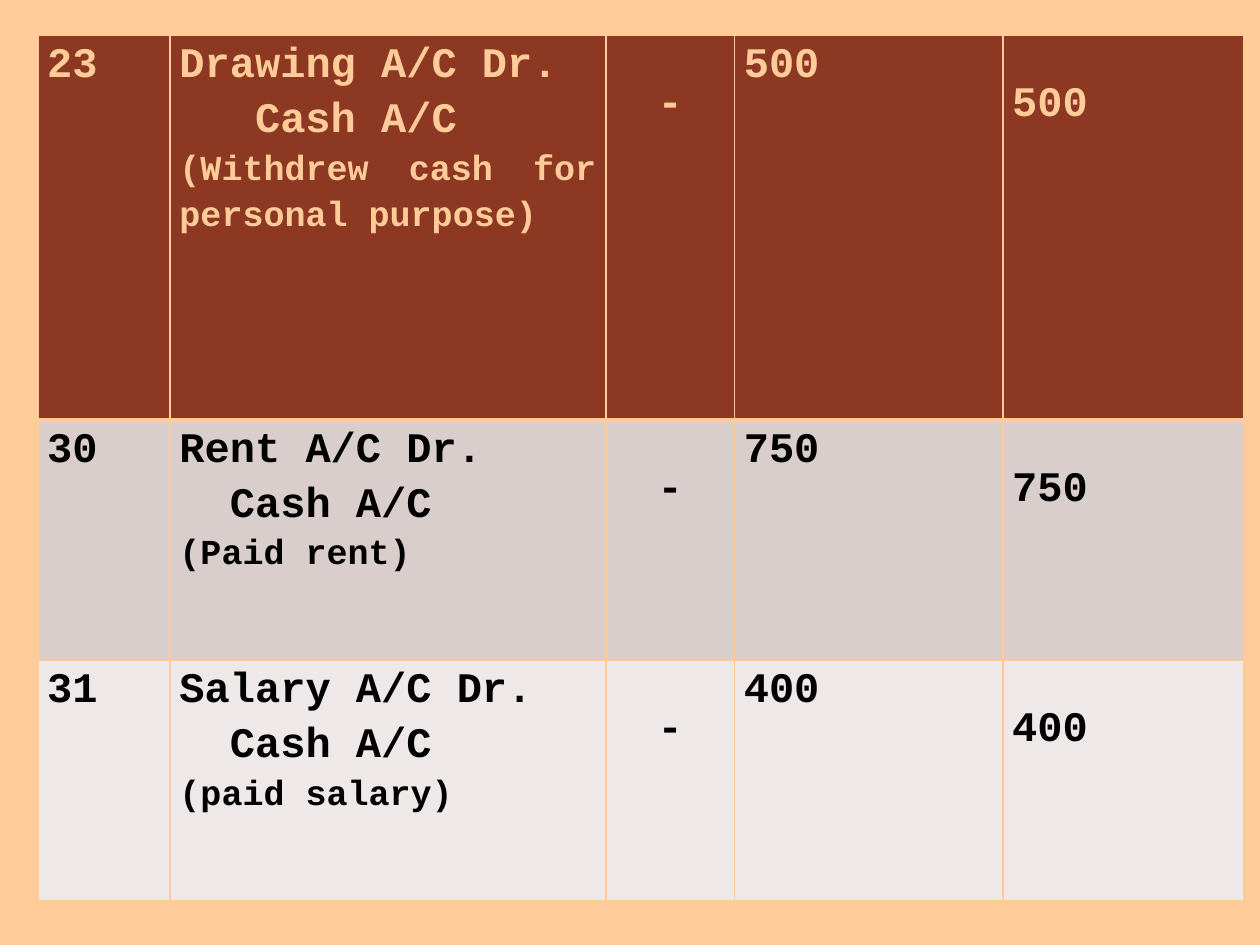
from lxml import etree
from pptx import Presentation
from pptx import util as u
from pptx.dml.color import RGBColor
from pptx.enum import text
from pptx.oxml.ns import qn

SAND, RUST, BLACK = "FFCC99", "8C3823", "000000"
LEFT, MID, JUST = text.PP_ALIGN.LEFT, text.PP_ALIGN.CENTER, text.PP_ALIGN.JUSTIFY
COLS = [75.6, 249.1, 73.4, 153.4, 137.5]
DROP = 22.3
CHAR = 14.4

ROWS = [
    (219.6, RUST, SAND, "23", "Drawing A/C Dr.", 3,
     "(Withdrew cash for personal purpose)", JUST, "500"),
    (137.5, "DACECD", BLACK, "30", "Rent A/C Dr.", 2, "(Paid rent)", LEFT, "750"),
    (137.5, "EEE8E8", BLACK, "31", "Salary A/C Dr.", 2, "(paid salary)", LEFT, "400"),
]


def tint(code):
    return RGBColor.from_string(code)


class Page:
    font = "Courier New"
    size = 24
    pad = 5.4

    def __init__(self, deck):
        self.slide = deck.slides.add_slide(deck.slide_layouts[6])

    def ground(self, code):
        fill = self.slide.background.fill
        fill.solid()
        fill.fore_color.rgb = tint(code)

    def table(self, left, top, cols, rows):
        box = self.slide.shapes.add_table(
            len(rows), len(cols), u.Pt(left), u.Pt(top),
            u.Pt(sum(cols)), u.Pt(sum(rows)))
        grid = box.table
        grid.first_row = grid.horz_banding = False
        for col, width in zip(grid.columns, cols):
            col.width = u.Pt(width)
        for row, height in zip(grid.rows, rows):
            row.height = u.Pt(height)
        return grid

    def edge(self, cell, side, width):
        props = cell._tc.get_or_add_tcPr()
        line = etree.SubElement(props, qn("a:ln" + side), w=str(u.Pt(width)))
        fill = etree.SubElement(line, qn("a:solidFill"))
        etree.SubElement(fill, qn("a:srgbClr"), val=SAND)

    def cell(self, cell, fill, drop, edges):
        cell.margin_left = cell.margin_right = u.Pt(self.pad)
        cell.margin_top, cell.margin_bottom = u.Pt(drop), 0
        for side, width in edges.items():
            self.edge(cell, side, width)
        cell.fill.solid()
        cell.fill.fore_color.rgb = tint(fill)

    def lines(self, cell, ink, items):
        frame = cell.text_frame
        for i, (words, align, size, inset) in enumerate(items):
            para = frame.add_paragraph() if i else frame.paragraphs[0]
            para.alignment = align
            para.line_spacing = 1.15
            if inset:
                para._p.get_or_add_pPr().set("marL", str(u.Pt(inset)))
            run = para.add_run()
            run.text = words
            run.font.name = self.font
            run.font.size = u.Pt(size)
            run.font.bold = True
            run.font.color.rgb = tint(ink)


def main():
    deck = Presentation()
    deck.slide_width, deck.slide_height = u.Pt(720), u.Pt(540)
    page = Page(deck)
    page.ground(SAND)
    grid = page.table(21.6, 20.4, COLS, [row[0] for row in ROWS])
    size = page.size
    for r, (_, fill, ink, day, debit, gap, note, align, sum_) in enumerate(ROWS):
        edges = {"L": 1, "R": 1, "T": 3 if r == 1 else 1, "B": 3 if r == 0 else 1}
        entry = [(debit, LEFT, size, 0),
                 ("Cash A/C", LEFT, size, gap * CHAR),
                 (note, align, 20, 0)]
        cells = [
            (0, [(day, JUST, size, 0)]),
            (0, entry),
            (DROP, [("-", MID, size, 0)]),
            (0, [(sum_, JUST, size, 0)]),
            (DROP, [(sum_, JUST, size, 0)]),
        ]
        for c, (drop, items) in enumerate(cells):
            cell = grid.cell(r, c)
            page.cell(cell, fill, drop, edges)
            page.lines(cell, ink, items)
    deck.save("out.pptx")


if __name__ == "__main__":
    main()
